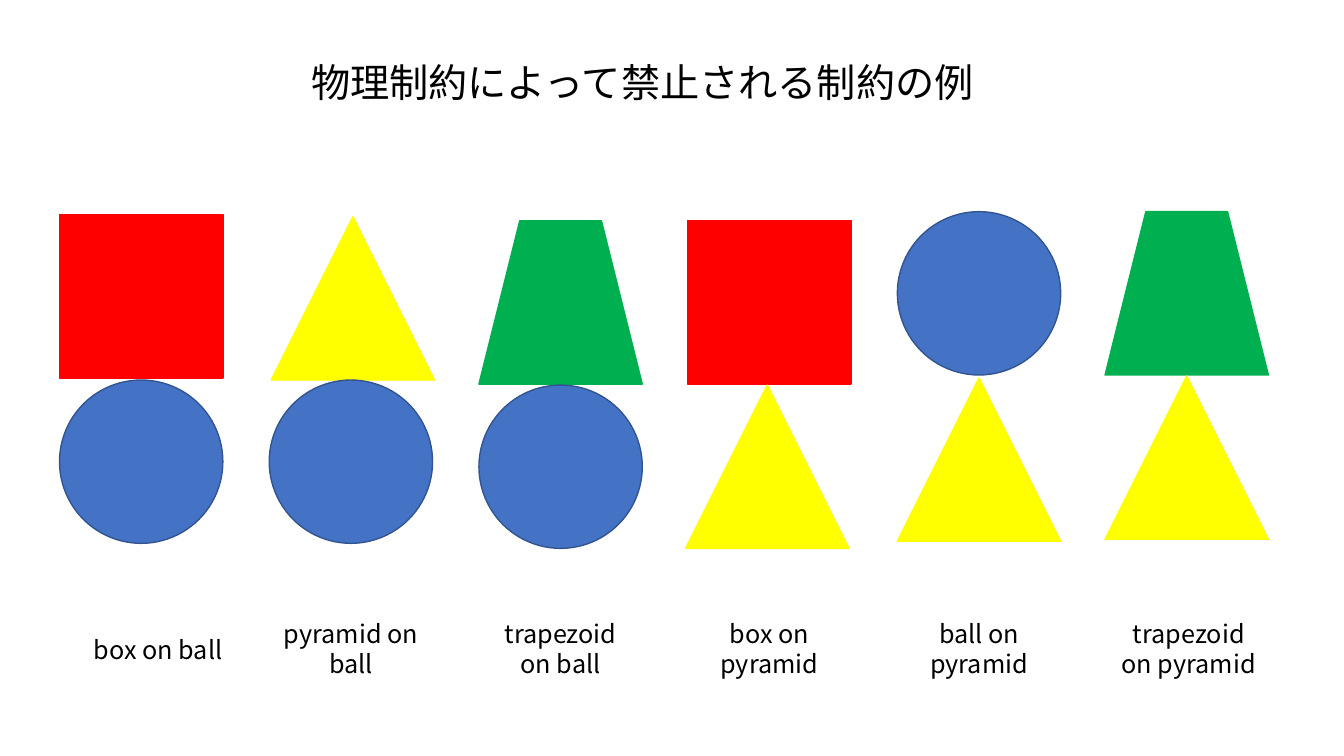
from lxml import etree
from pptx import Presentation
from pptx import util as u
from pptx.dml.color import RGBColor
from pptx.enum import shapes, text
from pptx.oxml import ns

SIZE = 1.62
KINDS = {
    "box": (shapes.MSO_SHAPE.RECTANGLE, "FF0000", "FF0000"),
    "ball": (shapes.MSO_SHAPE.OVAL, "4472C4", "325491"),
    "pyramid": (shapes.MSO_SHAPE.ISOSCELES_TRIANGLE, "FFFF00", "FFFF00"),
    "trapezoid": (shapes.MSO_SHAPE.TRAPEZOID, "00B050", "00B050"),
}
# Upper kind, its left and top; lower kind, its left and top; label left and top
STACKS = [
    ("box", 0.59, 2.13, "ball", 0.59, 3.77, 0.76, 6.24),
    ("pyramid", 2.69, 2.15, "ball", 2.67, 3.77, 2.67, 6.08),
    ("trapezoid", 4.75, 2.19, "ball", 4.75, 3.82, 4.75, 6.08),
    ("box", 6.82, 2.19, "pyramid", 6.8, 3.82, 6.82, 6.08),
    ("ball", 8.9, 2.1, "pyramid", 8.9, 3.75, 8.9, 6.08),
    ("trapezoid", 10.96, 2.1, "pyramid", 10.96, 3.73, 10.98, 6.08),
]


def color(value):
    return RGBColor.from_string(value)


class SlideBuilder:
    font_name = "Noto Sans CJK JP"

    def __init__(self, slide):
        self.slide = slide

    def set_text(self, shape, words, size):
        """Fill a text shape with one centred paragraph in the slide's font."""
        frame = shape.text_frame
        frame.text = words
        frame.word_wrap = True
        frame.auto_size = text.MSO_AUTO_SIZE.SHAPE_TO_FIT_TEXT
        frame.vertical_anchor = text.MSO_ANCHOR.TOP
        paragraph = frame.paragraphs[0]
        paragraph.alignment = text.PP_ALIGN.CENTER
        font = paragraph.font
        font.size = u.Pt(size)
        font.color.rgb = color("000000")
        font.name = self.font_name
        properties = paragraph._p.pPr.find(ns.qn("a:defRPr"))
        etree.SubElement(properties, ns.qn("a:ea"), typeface=self.font_name)

    def title(self, words):
        shape = self.slide.shapes.title
        shape.left, shape.top = u.Inches(2.87), u.Inches(0.53)
        shape.width, shape.height = u.Inches(7), u.Inches(0.57)
        self.set_text(shape, words, 28)

    def label(self, words, left, top):
        height = 0.4 if words == "box on ball" else 0.71
        shape = self.slide.shapes.add_textbox(
            u.Inches(left), u.Inches(top), u.Inches(SIZE), u.Inches(height))
        self.set_text(shape, words, 18)

    def block(self, kind, left, top):
        preset, fill, line = KINDS[kind]
        shape = self.slide.shapes.add_shape(
            preset, u.Inches(left), u.Inches(top), u.Inches(SIZE), u.Inches(SIZE))
        shape.shadow.inherit = False
        shape.fill.solid()
        shape.fill.fore_color.rgb = color(fill)
        shape.line.color.rgb = color(line)
        shape.line.width = u.Pt(1)


def main():
    presentation = Presentation()
    presentation.slide_width = u.Inches(13.33)
    presentation.slide_height = u.Inches(7.5)
    title_only = presentation.slide_layouts.get_by_name("Title Only")
    builder = SlideBuilder(presentation.slides.add_slide(title_only))
    builder.title("物理制約によって禁止される制約の例")
    for upper, upper_left, upper_top, lower, lower_left, lower_top, left, top in STACKS:
        builder.block(upper, upper_left, upper_top)
        builder.block(lower, lower_left, lower_top)
        builder.label(f"{upper} on {lower}", left, top)
    presentation.save("out.pptx")


if __name__ == "__main__":
    main()
